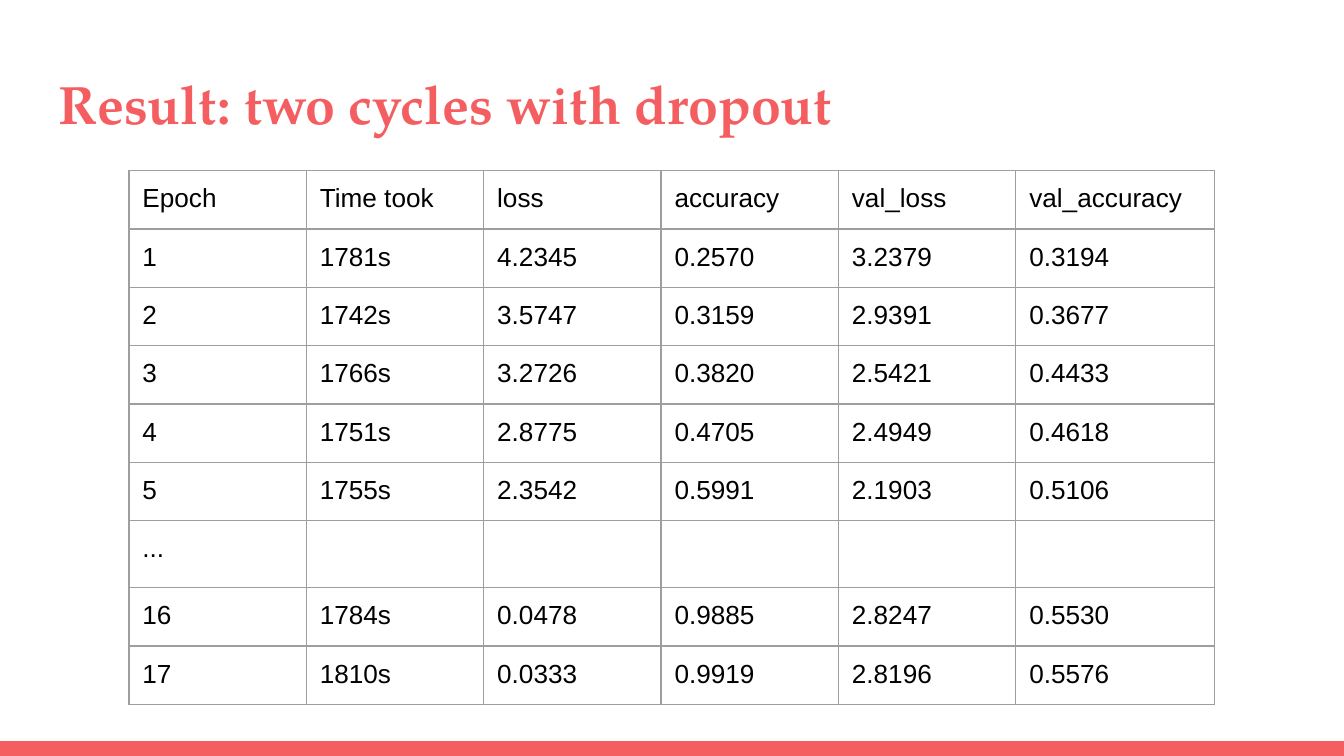
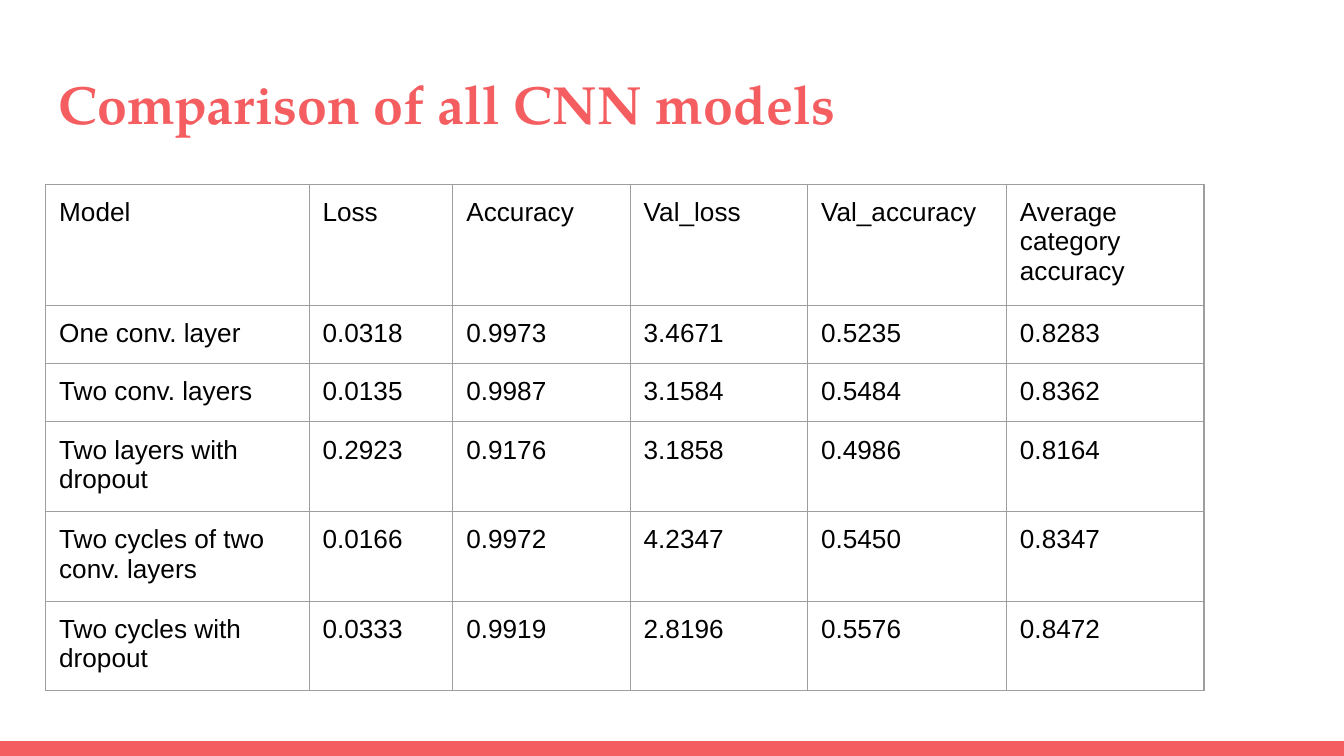
from lxml import etree
from pptx import Presentation
from pptx.dml.color import RGBColor
from pptx.enum.shapes import MSO_SHAPE
from pptx.enum.text import MSO_ANCHOR
from pptx.oxml.ns import qn
from pptx.util import Inches, Pt

RECT = MSO_SHAPE.RECTANGLE
MIDDLE = MSO_ANCHOR.MIDDLE
CORAL = RGBColor(0xF5, 0x5E, 0x61)
BLACK = RGBColor(0, 0, 0)
GREY = RGBColor(0x9E, 0x9E, 0x9E)
HEAD_FONT, BODY_FONT = "TeX Gyre Pagella", "Arial"

# Content: one entry per slide, "\n" parts paragraphs
SLIDES = [
    {
        "title": "Result: two cycles with dropout",
        "at": (0.96, 1.27),
        "cols": [1.32] * 5 + [1.48],
        "rows": [
            ("Epoch", "Time took", "loss", "accuracy", "val_loss", "val_accuracy"),
            ("1", "1781s", "4.2345", "0.2570", "3.2379", "0.3194"),
            ("2", "1742s", "3.5747", "0.3159", "2.9391", "0.3677"),
            ("3", "1766s", "3.2726", "0.3820", "2.5421", "0.4433"),
            ("4", "1751s", "2.8775", "0.4705", "2.4949", "0.4618"),
            ("5", "1755s", "2.3542", "0.5991", "2.1903", "0.5106"),
            ("...", "", "", "", "", ""),
            ("16", "1784s", "0.0478", "0.9885", "2.8247", "0.5530"),
            ("17", "1810s", "0.0333", "0.9919", "2.8196", "0.5576"),
        ],
    },
    {
        "title": "Comparison of all CNN models",
        "at": (0.34, 1.37),
        "cols": [1.96, 1.07, 1.32, 1.32, 1.48, 1.47],
        "rows": [
            ("Model", "Loss", "Accuracy", "Val_loss", "Val_accuracy",
             "Average category\naccuracy"),
            ("One conv. layer", "0.0318", "0.9973", "3.4671", "0.5235", "0.8283"),
            ("Two conv. layers", "0.0135", "0.9987", "3.1584", "0.5484", "0.8362"),
            ("Two layers with dropout", "0.2923", "0.9176", "3.1858", "0.4986", "0.8164"),
            ("Two cycles of two conv. layers", "0.0166", "0.9972", "4.2347", "0.5450",
             "0.8347"),
            ("Two cycles with dropout", "0.0333", "0.9919", "2.8196", "0.5576", "0.8472"),
        ],
    },
]

# Shared measures: a 16:9 slide
WIDTH = Inches(10)
HEIGHT = WIDTH * 9 // 16
SIDE, PAD = Inches(0.34), Inches(0.1)
BAND = Inches(0.11)
ROW = Inches(0.42)
FRAME = Inches(3.28)


def pad(box):
    box.margin_left = box.margin_right = PAD
    box.margin_top = box.margin_bottom = PAD


def write(frame, text, font, size, color, bold=False):
    for i, line in enumerate(text.split("\n")):
        para = frame.add_paragraph() if i else frame.paragraphs[0]
        run = para.add_run()
        run.text = line
        run.font.name, run.font.size = font, Pt(size)
        run.font.bold = bold
        run.font.color.rgb = color


def add_band(slide):
    band = slide.shapes.add_shape(RECT, 0, HEIGHT - BAND, WIDTH, BAND)
    band.shadow.inherit = False
    band.fill.solid()
    band.fill.fore_color.rgb = CORAL
    band.line.fill.background()


def add_title(slide, text):
    box = slide.shapes.add_textbox(SIDE, Inches(0.43), WIDTH - 2 * SIDE, Inches(0.68))
    frame = box.text_frame
    frame.word_wrap = True
    frame.vertical_anchor = MIDDLE
    pad(frame)
    write(frame, text, HEAD_FONT, 28.8, CORAL, True)


def add_edges(cell):
    # Borders must come before the fill in the cell properties
    props = cell._tc.get_or_add_tcPr()
    for i, side in enumerate("LRTB"):
        line = etree.Element(qn(f"a:ln{side}"), w=str(Pt(0.75)))
        fill = etree.SubElement(line, qn("a:solidFill"))
        etree.SubElement(fill, qn("a:srgbClr"), val=str(GREY))
        props.insert(i, line)


def add_grid(slide, at, cols, rows):
    left, top = map(Inches, at)
    holder = slide.shapes.add_table(len(rows), len(cols), left, top, FRAME, FRAME)
    table = holder.table
    table.first_row = table.horz_banding = False
    for col, width in zip(table.columns, cols):
        col.width = Inches(width)
    for line, texts in zip(table.rows, rows):
        line.height = ROW
        for cell, text in zip(line.cells, texts):
            pad(cell)
            cell.fill.background()
            add_edges(cell)
            if text:
                write(cell.text_frame, text, BODY_FONT, 14, BLACK)
    # Row and column sizes rule; a fixed frame keeps rows from stretching
    holder.width = holder.height = FRAME


def main():
    deck = Presentation()
    deck.slide_width, deck.slide_height = WIDTH, HEIGHT
    blank = deck.slide_layouts[6]
    for page in SLIDES:
        slide = deck.slides.add_slide(blank)
        add_band(slide)
        add_title(slide, page["title"])
        add_grid(slide, page["at"], page["cols"], page["rows"])
    deck.save("out.pptx")


if __name__ == "__main__":
    main()
